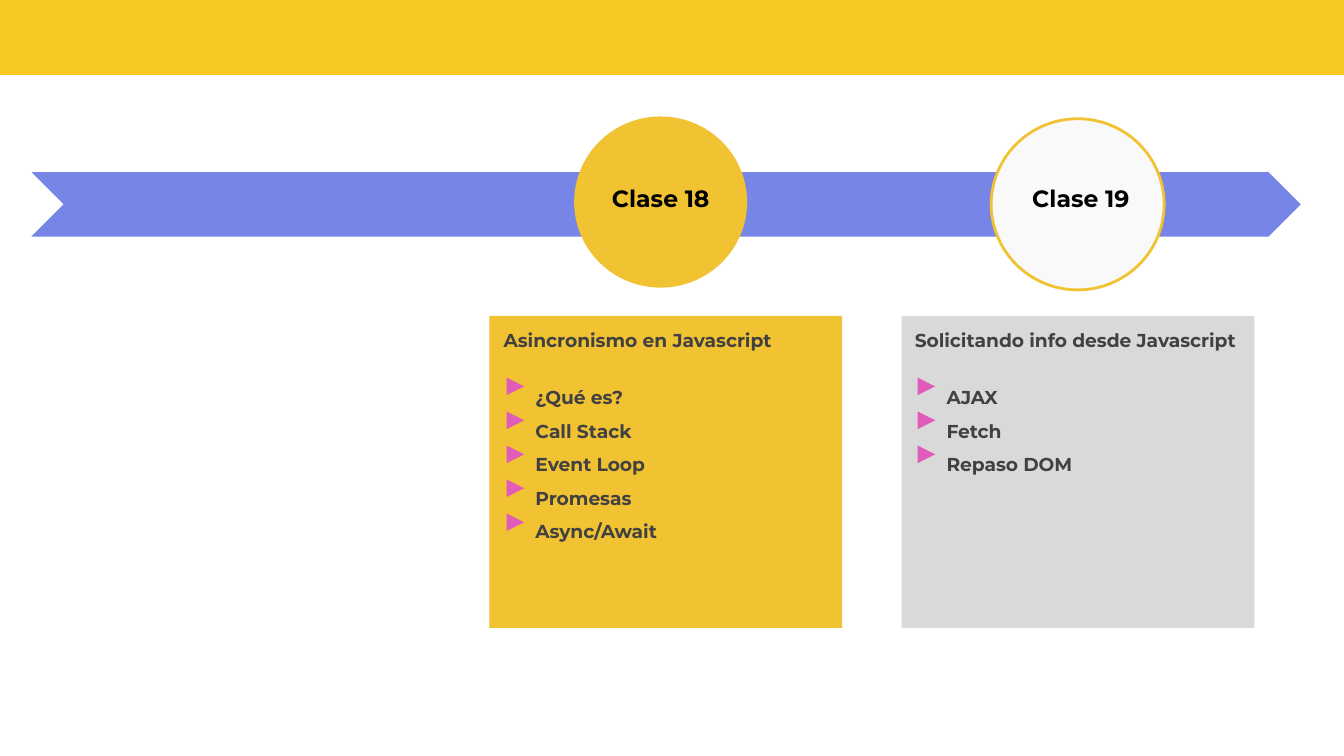
from pptx import Presentation
from pptx.dml.color import RGBColor
from pptx.enum.shapes import MSO_SHAPE
from pptx.enum.text import MSO_ANCHOR, PP_ALIGN
from pptx.util import Pt

COLORS = {
    "banner": "F8C823",
    "timeline": "7685E6",
    "current": "F1C232",
    "upcoming": "F9F9F9",
    "panel": "D9D9D9",
    "marker": "E15BBA",
    "title": "000000",
    "body": "414141",
}


class TimelineSlide:
    font_name = "Montserrat"
    inset = 7.2
    heading_size = 10
    item_indent = 17
    item_gap = 18.2
    marker_size = 9.4

    def __init__(self, slide):
        self.slide = slide

    def color(self, name):
        return RGBColor.from_string(COLORS[name])

    def shape(self, kind, left, top, width, height, fill, line=None):
        shape = self.slide.shapes.add_shape(
            kind, Pt(left), Pt(top), Pt(width), Pt(height))
        shape.shadow.inherit = False
        shape.fill.solid()
        shape.fill.fore_color.rgb = self.color(fill)
        if line:
            shape.line.color.rgb = self.color(line)
            shape.line.width = Pt(1.5)
        else:
            shape.line.fill.background()
        return shape

    def text_box(self, left, top, width, height):
        frame = self.slide.shapes.add_textbox(
            Pt(left), Pt(top), Pt(width), Pt(height)).text_frame
        frame.word_wrap = True
        frame.vertical_anchor = MSO_ANCHOR.TOP
        frame.margin_left = frame.margin_right = Pt(self.inset)
        frame.margin_top = frame.margin_bottom = Pt(self.inset)
        return frame

    def run(self, paragraph, text, size, color):
        run = paragraph.add_run()
        run.text = text
        run.font.name = self.font_name
        run.font.size = Pt(size)
        run.font.bold = True
        run.font.color.rgb = self.color(color)

    def class_title(self, left, text):
        paragraph = self.text_box(left, 91.4, 72, 23.8).paragraphs[0]
        paragraph.alignment = PP_ALIGN.CENTER
        self.run(paragraph, text, 12.6, "title")

    def topics(self, left, heading, items):
        """Heading and indented topics, each with a triangle beside it."""
        frame = self.text_box(left, 169.2, 187.2, 167)
        self.run(frame.paragraphs[0], heading, self.heading_size, "body")
        for index, item in enumerate(items):
            paragraph = frame.add_paragraph()
            paragraph.line_spacing = 1.5
            paragraph.space_before = Pt(0 if index else 12.2)
            properties = paragraph._p.get_or_add_pPr()
            properties.set("marL", str(Pt(self.item_indent)))
            self.run(paragraph, item, self.heading_size, "body")
            marker = self.shape(
                MSO_SHAPE.ISOSCELES_TRIANGLE, left + 8.6,
                202.3 + index * self.item_gap,
                self.marker_size, self.marker_size, "marker")
            marker.rotation = 90


def main():
    presentation = Presentation()
    presentation.slide_width = Pt(720)
    presentation.slide_height = Pt(405)
    slide = presentation.slides.add_slide(presentation.slide_layouts[6])
    timeline = TimelineSlide(slide)

    timeline.shape(MSO_SHAPE.CHEVRON, 16.8, 92.2, 680, 34.5, "timeline")
    timeline.shape(MSO_SHAPE.OVAL, 307.6, 62.4, 92.7, 91.7, "current")
    timeline.shape(MSO_SHAPE.OVAL, 531, 63.6, 92.7, 91.7, "upcoming", "current")
    for left, fill in ((262.2, "current"), (483, "panel")):
        timeline.shape(MSO_SHAPE.RECTANGLE, left, 169.2, 189, 167.2, fill)
    timeline.shape(MSO_SHAPE.RECTANGLE, -1, -3.8, 722, 44, "banner")

    timeline.class_title(318, "Clase 18")
    timeline.class_title(543, "Clase 19")
    timeline.topics(262.8, "Asincronismo en Javascript",
                    ["¿Qué es?", "Call Stack", "Event Loop", "Promesas", "Async/Await"])
    timeline.topics(483, "Solicitando info desde Javascript",
                    ["AJAX", "Fetch", "Repaso DOM"])

    presentation.save("out.pptx")


if __name__ == "__main__":
    main()
